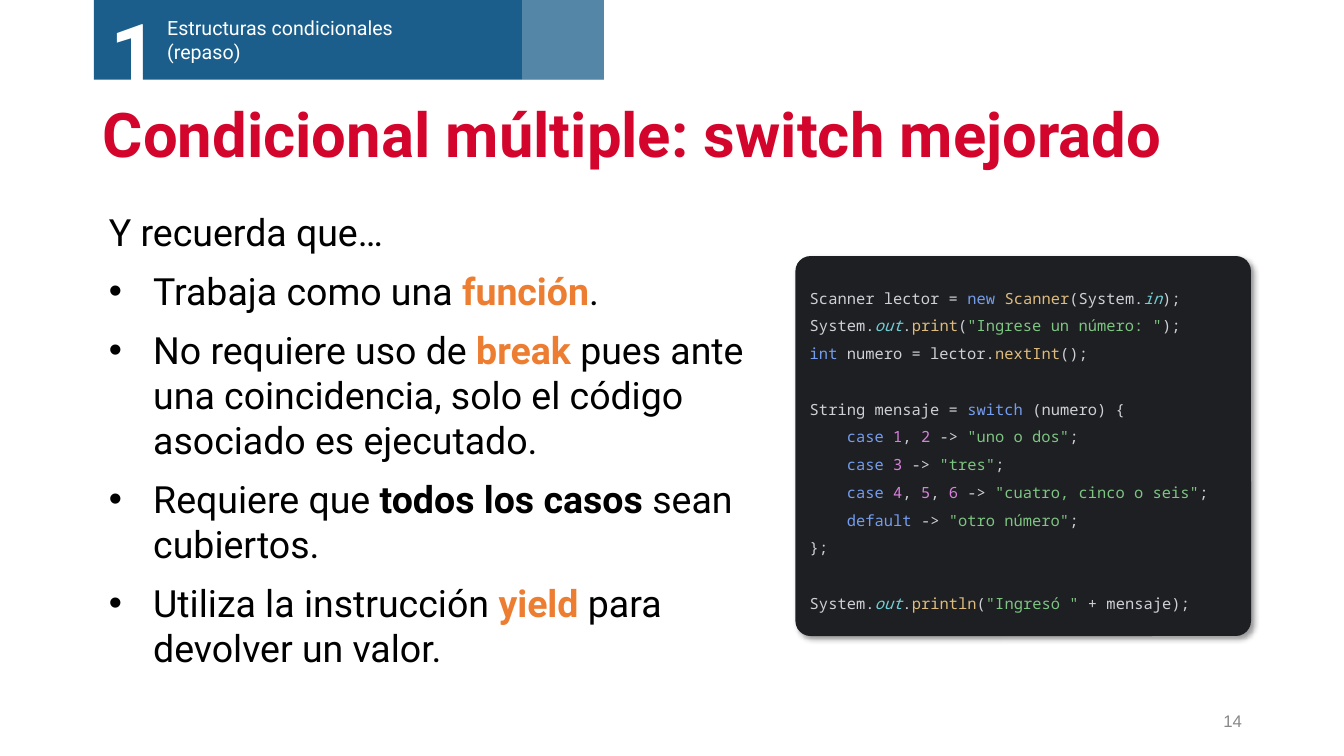
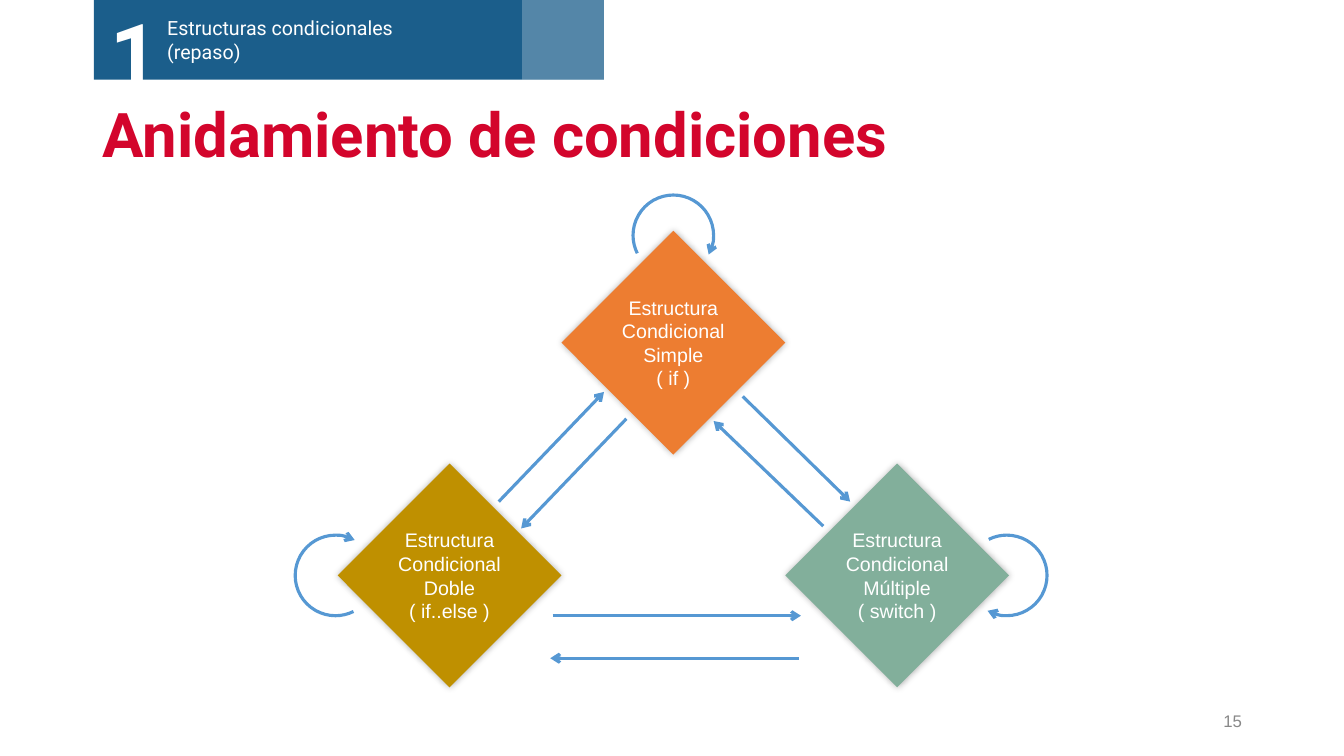
from copy import deepcopy
from dataclasses import dataclass, replace

from lxml import etree
from pptx import Presentation
from pptx.dml.color import RGBColor
from pptx.enum.shapes import MSO_CONNECTOR, MSO_SHAPE
from pptx.enum.text import MSO_ANCHOR, MSO_AUTO_SIZE, PP_ALIGN
from pptx.oxml.ns import qn
from pptx.util import Inches, Pt

RECT, ROUNDED = MSO_SHAPE.RECTANGLE, MSO_SHAPE.ROUNDED_RECTANGLE
DIAMOND, ARC = MSO_SHAPE.DIAMOND, MSO_SHAPE.ARC
STRAIGHT = MSO_CONNECTOR.STRAIGHT
TOP, MIDDLE = MSO_ANCHOR.TOP, MSO_ANCHOR.MIDDLE
LEFT, CENTER, RIGHT = PP_ALIGN.LEFT, PP_ALIGN.CENTER, PP_ALIGN.RIGHT
NO_AUTOFIT = MSO_AUTO_SIZE.NONE

SLIDE_W, SLIDE_H = Inches(13.333), Inches(7.5)
CONTENT_LAYOUT, TITLE_LAYOUT = 1, 5


@dataclass(frozen=True)
class TextStyle:
    font: str
    size: float
    color: str
    bold: bool = False
    italic: bool = False


@dataclass(frozen=True)
class Theme:
    band: str = "1B5E8B"
    veil: str = "FFFFFF"
    arrow: str = "5698D3"
    simple: str = "ED7D31"
    double: str = "BF9000"
    multiple: str = "82AF9B"
    editor: str = "1E1F22"
    arrow_width: float = 2.25
    title: TextStyle = TextStyle("Roboto", 44, "D3052C", bold=True)
    section: TextStyle = TextStyle("Roboto", 14, "FFFFFF")
    section_number: TextStyle = TextStyle("Roboto", 60, "FFFFFF", bold=True)
    page: TextStyle = TextStyle("Arial", 12, "888888")
    body: TextStyle = TextStyle("Roboto", 26.8, "000000")
    node: TextStyle = TextStyle("Arial", 14, "FFFFFF")
    code: TextStyle = TextStyle("Noto Sans Mono", 11, "CED0D6")


THEME = Theme()
BODY, CODE = THEME.body, THEME.code
STRONG = replace(BODY, bold=True)
ACCENT = replace(STRONG, color="ED7D31")
KEYWORD = replace(CODE, color="749DED")
CALL = replace(CODE, color="DEBC7E")
STRING = replace(CODE, color="7EC482")
NUMBER = replace(CODE, color="D981DE")
MEMBER = replace(CODE, color="72CFD6", italic=True)

REMINDERS = [
    [("Y recuerda que…", BODY)],
    [("Trabaja como una ", BODY), ("función", ACCENT), (".", BODY)],
    [("No requiere uso de ", BODY), ("break", ACCENT),
     (" pues ante una coincidencia, solo el código asociado es ejecutado.", BODY)],
    [("Requiere que ", BODY), ("todos los casos ", STRONG), ("sean cubiertos.", BODY)],
    [("Utiliza la instrucción ", BODY), ("yield", ACCENT),
     (" para devolver un valor.", BODY)],
]

SWITCH_CODE = [
    ("Scanner lector = ", CODE), ("new ", KEYWORD), ("Scanner", CALL),
    ("(System.", CODE), ("in", MEMBER), (");\nSystem.", CODE),
    ("out", MEMBER), (".", CODE), ("print", CALL), ("(", CODE),
    ('"Ingrese un número: "', STRING), (");\n", CODE),
    ("int ", KEYWORD), ("numero = lector.", CODE), ("nextInt", CALL),
    ("();\n\nString mensaje = ", CODE), ("switch ", KEYWORD), ("(numero) {\n    ", CODE),
    ("case ", KEYWORD), ("1", NUMBER), (", ", CODE), ("2 ", NUMBER), ("-> ", CODE),
    ('"uno o dos"', STRING), (";\n    ", CODE),
    ("case ", KEYWORD), ("3 ", NUMBER), ("-> ", CODE),
    ('"tres"', STRING), (";\n    ", CODE),
    ("case ", KEYWORD), ("4", NUMBER), (", ", CODE), ("5", NUMBER), (", ", CODE),
    ("6 ", NUMBER), ("-> ", CODE), ('"cuatro, cinco o seis"', STRING), (";\n    ", CODE),
    ("default ", KEYWORD), ("-> ", CODE), ('"otro número"', STRING),
    (";\n};\n\nSystem.", CODE), ("out", MEMBER), (".", CODE), ("println", CALL),
    ("(", CODE), ('"Ingresó " ', STRING), ("+ mensaje);", CODE),
]

NODE_SIDE = 2.22
DIAGRAM_LEFT, DIAGRAM_TOP = 3.35, 2.29
LOOP_SIDE = 0.36
NODES = [
    (1, 0, THEME.simple, ["Estructura Condicional", "Simple", "( if )"]),
    (0, 1.04, THEME.double, ["Estructura Condicional Doble", "( if..else )"]),
    (2, 1.04, THEME.multiple, ["Estructura Condicional", "Múltiple", "( switch )"]),
]
TRANSITIONS = [
    ((1.81, 0.74), (2.29, 1.21)), ((2.17, 1.32), (1.68, 0.85)),
    ((0.72, 1.21), (1.19, 0.72)), ((1.29, 0.84), (0.82, 1.33)),
    ((0.96, 1.72), (2.07, 1.72)), ((2.06, 1.91), (0.95, 1.91)),
]
LOOPS = [(1.32, -0.16, 270), (2.81, 1.36, 0), (-0.19, 1.36, 180)]


def share(left, top, width, height):
    return (int(SLIDE_W * left / 100), int(SLIDE_H * top / 100),
            int(SLIDE_W * width / 100), int(SLIDE_H * height / 100))


def diagram_point(column, row):
    return (Inches(DIAGRAM_LEFT + column * NODE_SIDE),
            Inches(DIAGRAM_TOP + row * NODE_SIDE))


def diagram_box(column, row, side=1):
    return (*diagram_point(column, row), Inches(side * NODE_SIDE), Inches(side * NODE_SIDE))


def apply_style(font, style):
    font.name = style.font
    font.size = Pt(style.size)
    font.bold = style.bold
    font.italic = style.italic
    font.color.rgb = RGBColor.from_string(style.color)


def write(paragraph, pieces, align=LEFT, line_spacing=None):
    paragraph.alignment = align
    if line_spacing:
        paragraph.line_spacing = line_spacing
    for text, style in pieces:
        for index, line in enumerate(text.split("\n")):
            if index:
                paragraph.add_line_break()
            run = paragraph.add_run()
            run.text = line
            apply_style(run.font, style)
            if index:
                run._r.getprevious().append(deepcopy(run._r.rPr))
            if not line:
                paragraph._p.remove(run._r)


def prepare_frame(shape, anchor=TOP):
    frame = shape.text_frame
    frame.word_wrap = True
    frame.auto_size = NO_AUTOFIT
    frame.vertical_anchor = anchor
    return frame


def add_label(slide, box, text, style, anchor=TOP, align=LEFT):
    label = slide.shapes.add_textbox(*box)
    write(prepare_frame(label, anchor).paragraphs[0], [(text, style)], align)


def add_block(slide, preset, box, color):
    block = slide.shapes.add_shape(preset, *box)
    block.shadow.inherit = False
    block.fill.solid()
    block.fill.fore_color.rgb = RGBColor.from_string(color)
    block.line.fill.background()
    return block


def set_opacity(shape, percent):
    color = shape._element.spPr.find(".//" + qn("a:srgbClr"))
    etree.SubElement(color, qn("a:alpha"), val=str(percent * 1000))


def cast_shadow(shape, opacity, blur, distance=0, angle=0):
    effects = shape._element.spPr.find(qn("a:effectLst"))
    outer = etree.SubElement(effects, qn("a:outerShdw"), blurRad=str(Pt(blur)),
                             dist=str(Pt(distance)), dir=str(angle * 60000),
                             algn="ctr", rotWithShape="0")
    color = etree.SubElement(outer, qn("a:srgbClr"), val="000000")
    etree.SubElement(color, qn("a:alpha"), val=str(opacity * 1000))


def draw_arrow_line(line):
    line.color.rgb = RGBColor.from_string(THEME.arrow)
    line.width = Pt(THEME.arrow_width)
    etree.SubElement(line._get_or_add_ln(), qn("a:tailEnd"), type="arrow")


def add_section_band(slide):
    add_block(slide, RECT, share(6.98, 0, 37.95, 10.53), THEME.band)
    add_label(slide, share(11.7, 1.47, 25.13, 7.6),
              "Estructuras condicionales\n(repaso)", THEME.section)
    add_label(slide, share(7.5, -0.53, 8.4, 14.8), "1", THEME.section_number)
    veil = add_block(slide, RECT, share(38.85, 0, 6.08, 10.53), THEME.veil)
    set_opacity(veil, 25)


def place(placeholder, box):
    placeholder.left, placeholder.top, placeholder.width, placeholder.height = box


def start_slide(deck, layout, title, page):
    slide = deck.slides.add_slide(deck.slide_layouts[layout])
    heading = slide.shapes.title
    place(heading, share(6.9, 12.4, 86.25, 11.47))
    write(prepare_frame(heading, MIDDLE).paragraphs[0], [(title, THEME.title)],
          line_spacing=0.9)
    add_section_band(slide)
    add_label(slide, share(70.65, 92.67, 22.5, 5.33), page, THEME.page, MIDDLE, RIGHT)
    return slide


def set_bullet(paragraph, bulleted):
    properties = paragraph._p.get_or_add_pPr()
    properties.set("marL", str(Inches(0.5 if bulleted else 0.06)))
    properties.set("indent", str(Inches(-0.44 if bulleted else 0)))
    if bulleted:
        etree.SubElement(properties, qn("a:buFont"), typeface="Arial")
        etree.SubElement(properties, qn("a:buChar"), char="•")
    else:
        etree.SubElement(properties, qn("a:buNone"))


def fill_reminders(body):
    place(body, share(6.9, 26.93, 50.55, 63.73))
    frame = prepare_frame(body)
    for index, pieces in enumerate(REMINDERS):
        paragraph = frame.add_paragraph() if index else frame.paragraphs[0]
        set_bullet(paragraph, index > 0)
        paragraph.space_before = Pt(10 if index else 0)
        write(paragraph, pieces)


def add_code_panel(slide):
    panel = add_block(slide, ROUNDED, share(59.18, 33.87, 33.9, 50.27), THEME.editor)
    panel.adjustments[0] = 0.04
    cast_shadow(panel, 40, 4, 3, 45)
    write(prepare_frame(panel, MIDDLE).paragraphs[0], SWITCH_CODE, line_spacing=1.5)


def add_node(slide, column, row, color, lines):
    node = add_block(slide, DIAMOND, diagram_box(column, row), color)
    cast_shadow(node, 30, 5)
    frame = prepare_frame(node, MIDDLE)
    frame.margin_left = frame.margin_right = 0
    for index, line in enumerate(lines):
        paragraph = frame.add_paragraph() if index else frame.paragraphs[0]
        write(paragraph, [(line, THEME.node)], CENTER)


def add_transition(slide, start, end):
    transition = slide.shapes.add_connector(
        STRAIGHT, *diagram_point(*start), *diagram_point(*end))
    draw_arrow_line(transition.line)
    etree.SubElement(transition._element.spPr, qn("a:effectLst"))


def add_loop(slide, column, row, rotation):
    loop = slide.shapes.add_shape(ARC, *diagram_box(column, row, LOOP_SIDE))
    loop.shadow.inherit = False
    loop.fill.background()
    loop.adjustments[0], loop.adjustments[1] = 146.06, 71.09
    loop.rotation = rotation
    draw_arrow_line(loop.line)


def main():
    deck = Presentation()
    deck.slide_width, deck.slide_height = SLIDE_W, SLIDE_H

    switch_slide = start_slide(deck, CONTENT_LAYOUT,
                               "Condicional múltiple: switch mejorado", "14")
    fill_reminders(switch_slide.placeholders[1])
    add_code_panel(switch_slide)

    nesting_slide = start_slide(deck, TITLE_LAYOUT, "Anidamiento de condiciones", "15")
    for node in NODES:
        add_node(nesting_slide, *node)
    for transition in TRANSITIONS:
        add_transition(nesting_slide, *transition)
    for loop in LOOPS:
        add_loop(nesting_slide, *loop)

    deck.save("out.pptx")


if __name__ == "__main__":
    main()
